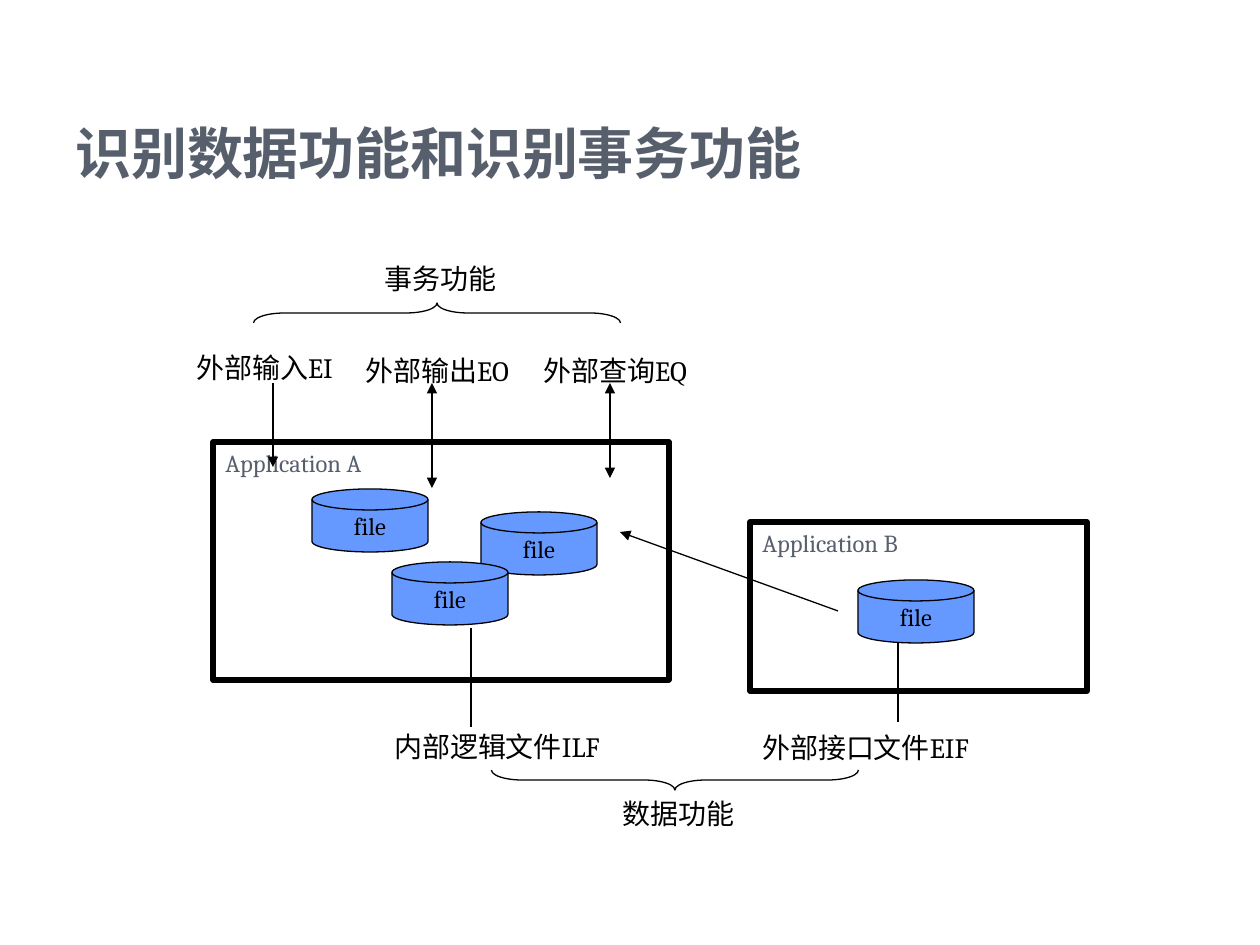
import pptx
import pptx.util
import pptx.dml.color
import pptx.enum.shapes
import pptx.enum.text
import pptx.oxml.ns
import lxml.etree

SHAPE = pptx.enum.shapes.MSO_SHAPE
ANCHOR = pptx.enum.text.MSO_ANCHOR
ALIGN = pptx.enum.text.PP_ALIGN
PX = 914400 / 126

THEME = {
    "font": "Cambria", "ink": "000000", "heading": "575F6D", "disk": "6699FF",
    "title": 40, "label": 16, "small": 14, "frame": 3, "thin": 0.75,
}

TITLE = ("识别数据功能和识别事务功能", (63, 38, 1029, 157))
APPLICATIONS = [
    ("Application A", (213, 442, 456, 238)),
    ("Application B", (750, 522, 337, 169)),
]
FILES = [(481, 512), (392, 562), (312, 489), (858, 580)]
FILE_SIZE = (116, 63)
LABELS = [
    ("事务功能", (372, 255, 169)),
    ("外部输入EI", (184, 344, 170)),
    ("外部输出EO", (353, 347, 179)),
    ("外部查询EQ", (531, 347, 189)),
    ("内部逻辑文件ILF", (382, 723, 239)),
    ("外部接口文件EIF", (750, 724, 249)),
    ("数据功能", (610, 790, 149)),
]
LABEL_HEIGHT = 47
BRACES = [((437, 313), 90), ((675, 780), 270)]
BRACE_SIZE = (20, 367)
LINES = [
    ((273, 383), (273, 467), ("tailEnd",)),
    ((432, 383), (432, 488), ("headEnd", "tailEnd")),
    ((610, 383), (610, 478), ("headEnd", "tailEnd")),
    ((838, 611), (620, 532), ("tailEnd",)),
    ((471, 727), (471, 628), ()),
    ((898, 722), (898, 643), ()),
]


def emu(*lengths):
    return [pptx.util.Emu(round(n * PX)) for n in lengths]


def color(name):
    return pptx.dml.color.RGBColor.from_string(THEME[name])


def set_line(line, width):
    line.color.rgb = color("ink")
    line.width = pptx.util.Pt(THEME[width])


def set_text(sp, text, size, ink, wrap=True, anchor=ANCHOR.TOP, align=ALIGN.LEFT):
    tf = sp.text_frame
    tf.word_wrap = wrap
    tf.vertical_anchor = anchor
    p = tf.paragraphs[0]
    p.text = text
    p.alignment = align
    font = p.runs[0].font
    font.name = THEME["font"]
    font.size = pptx.util.Pt(THEME[size])
    font.color.rgb = color(ink)
    return p.runs[0]


def add_text(slide, text, box, size, ink, **options):
    return set_text(slide.shapes.add_textbox(*emu(*box)), text, size, ink, **options)


def add_shape(slide, kind, box, width, fill=None):
    sp = slide.shapes.add_shape(kind, *emu(*box))
    sp.shadow.inherit = False
    set_line(sp.line, width)
    if fill:
        sp.fill.solid()
        sp.fill.fore_color.rgb = color(fill)
    else:
        sp.fill.background()
    return sp


def add_line(slide, start, end, arrows):
    connector = slide.shapes.add_connector(
        pptx.enum.shapes.MSO_CONNECTOR.STRAIGHT, *emu(*start, *end))
    set_line(connector.line, "thin")
    qn = pptx.oxml.ns.qn
    ln = connector.line._get_or_add_ln()
    for arrow in arrows:
        lxml.etree.SubElement(ln, qn("a:" + arrow), type="triangle")
    lxml.etree.SubElement(connector._element.spPr, qn("a:effectLst"))


def main():
    prs = pptx.Presentation()
    prs.slide_width, prs.slide_height = emu(1260, 945)
    slide = prs.slides.add_slide(prs.slide_layouts[6])

    r = add_text(slide, *TITLE, "title", "heading", anchor=ANCHOR.BOTTOM)
    r.font.bold = True
    r.font._element.set("cap", "small")

    for name, box in APPLICATIONS:
        add_shape(slide, SHAPE.RECTANGLE, box, "frame")
        add_text(slide, name, (*box[:2], 169, 42), "small", "heading", wrap=False)
    for corner in FILES:
        disk = add_shape(slide, SHAPE.FLOWCHART_MAGNETIC_DISK,
                         (*corner, *FILE_SIZE), "thin", "disk")
        set_text(disk, "file", "small", "ink", wrap=False,
                 anchor=ANCHOR.MIDDLE, align=ALIGN.CENTER)
    for line in LINES:
        add_line(slide, *line)
    for (x, y), angle in BRACES:
        w, h = BRACE_SIZE
        brace = add_shape(slide, SHAPE.LEFT_BRACE, (x - w / 2, y - h / 2, w, h), "thin")
        brace.rotation = angle
        brace.adjustments[0] = 1.54
    for text, box in LABELS:
        add_text(slide, text, (*box, LABEL_HEIGHT), "label", "ink")

    prs.save("out.pptx")


if __name__ == "__main__":
    main()
